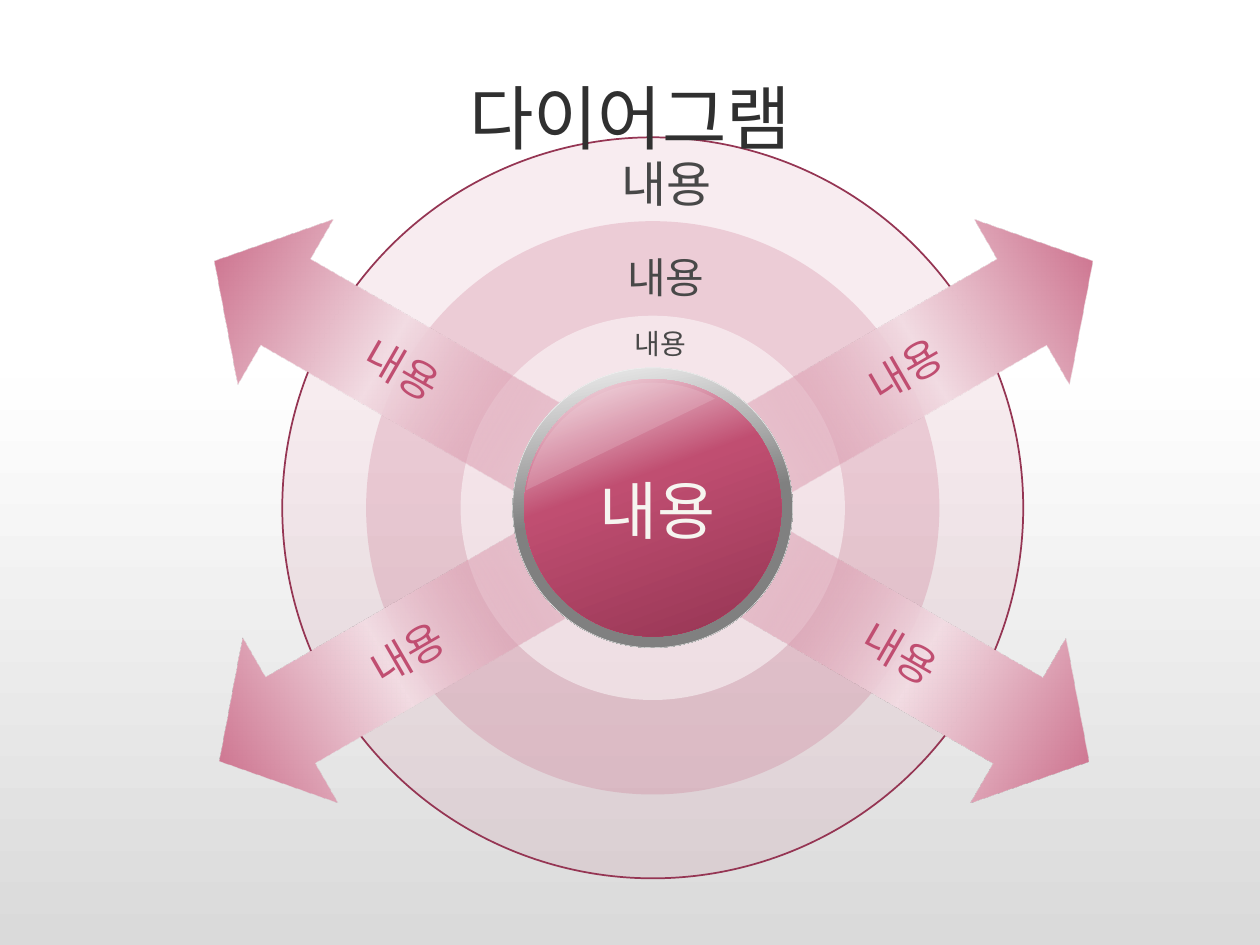
from lxml.etree import SubElement
from pptx import Presentation
from pptx.dml.color import RGBColor
from pptx.enum.shapes import MSO_SHAPE
from pptx.enum.text import MSO_ANCHOR, MSO_AUTO_SIZE, PP_ALIGN
from pptx.oxml.ns import qn
from pptx.util import Pt

ROSE, WINE, BLUSH = "C04E71", "953553", "F2DCE3"
CONTENT = "내용"


def color(value):
    return RGBColor.from_string(value)


def set_alpha(color_element, percent):
    SubElement(color_element, qn("a:alpha"), val=str(percent * 1000))


def set_solid(shape, value, alpha):
    shape.fill.solid()
    shape.fill.fore_color.rgb = color(value)
    set_alpha(shape.element.spPr.find(f".//{qn('a:srgbClr')}"), alpha)


def set_gradient(owner, fill, stops, angle):
    fill.gradient()
    gradient = owner.element.find(f".//{qn('a:gradFill')}")
    for child in list(gradient):
        gradient.remove(child)
    gradient.set("rotWithShape", "1")
    stop_list = SubElement(gradient, qn("a:gsLst"))
    for position, value, alpha in stops:
        stop = SubElement(stop_list, qn("a:gs"), pos=str(position * 1000))
        color_element = SubElement(stop, qn("a:srgbClr"), val=value)
        if alpha < 100:
            set_alpha(color_element, alpha)
    SubElement(gradient, qn("a:lin"), ang=str(angle * 60000), scaled="0")


def add_plain_shape(shapes, kind, box):
    shape = shapes.add_shape(kind, *map(Pt, box))
    shape.shadow.inherit = False
    shape.line.fill.background()
    return shape


def add_disc(shapes, box, diameter, kind=MSO_SHAPE.OVAL, drop=0):
    left, top, width, height = box
    disc_box = (left + (width - diameter) / 2, top + (height - diameter) / 2 + drop,
                diameter, diameter)
    return add_plain_shape(shapes, kind, disc_box)


def set_line(shape, value, width):
    shape.line.color.rgb = color(value)
    shape.line.width = Pt(width)


def write_text(shape, text, size, value, alignment, frame_format):
    frame = shape.text_frame
    for name, setting in frame_format.items():
        setattr(frame, name, setting)
    paragraph = frame.paragraphs[0]
    paragraph.alignment = alignment
    run = paragraph.add_run()
    run.text = text
    font_format = {"name": "Arial", "size": Pt(size)}
    for name, setting in font_format.items():
        setattr(run.font, name, setting)
    run.font.color.rgb = color(value)


def add_background(slide):
    stops = [(0, "FFFFFF", 100), (40, "FEFEFE", 100), (100, "DADADA", 100)]
    set_gradient(slide, slide.background.fill, stops, 90)


def add_rings(slide, box):
    shapes = slide.shapes.add_group_shape().shapes
    rings = [(box[2], ROSE, 10), (327.6, ROSE, 20), (219.6, "FFFFFF", 50)]
    discs = []
    for diameter, value, alpha in rings:
        disc = add_disc(shapes, box, diameter)
        set_solid(disc, value, alpha)
        discs.append(disc)
    set_line(discs[0], WINE, 1)


def add_title(slide, box):
    title = slide.shapes.add_textbox(*map(Pt, box))
    write_text(title, "다이어그램", 40, "303030", PP_ALIGN.CENTER,
               {"word_wrap": True, "vertical_anchor": MSO_ANCHOR.MIDDLE})


def add_arrows(slide, box):
    left, top, width, height = box
    arrow_width, arrow_height, inset = 223.2, 108.7, 2.5
    right = left + width - arrow_width
    bottom = top + height - arrow_height
    arrows = [
        (right - inset, bottom, 30.1, None),
        (right, top, 330, None),
        (left + inset, bottom, 150, "flipV"),
        (left, top, 30, "flipH"),
    ]
    stops = [(0, ROSE, 0), (50, BLUSH, 100), (100, ROSE, 100)]
    for arrow_left, arrow_top, rotation, flip in arrows:
        arrow = add_plain_shape(slide.shapes, MSO_SHAPE.RIGHT_ARROW,
                                (arrow_left, arrow_top, arrow_width, arrow_height))
        arrow.adjustments[0] = 0.52
        arrow.adjustments[1] = 0.43
        arrow.rotation = rotation
        if flip:
            arrow.element.spPr.find(qn("a:xfrm")).set(flip, "1")
        set_gradient(arrow, arrow.fill, stops, 0)
        write_text(arrow, CONTENT, 24, ROSE, PP_ALIGN.CENTER,
                   {"word_wrap": False, "vertical_anchor": MSO_ANCHOR.MIDDLE})


def add_ball(slide, box):
    shapes = slide.shapes.add_group_shape().shapes
    rim = add_disc(shapes, box, box[2])
    set_gradient(rim, rim.fill,
                 [(0, "F2F2F2", 100), (50, "808080", 100), (100, "808080", 100)], 80)
    set_line(rim, "F2F2F2", 0.25)
    face = add_disc(shapes, box, 147)
    set_gradient(face, face.fill,
                 [(0, "F9EDF1", 100), (40, ROSE, 100), (100, WINE, 100)], 70)
    gloss = add_disc(shapes, box, 147, MSO_SHAPE.CHORD, 2)
    gloss.adjustments[0] = 59.63
    gloss.adjustments[1] = 125.32
    gloss.rotation = 90
    set_solid(gloss, BLUSH, 20)


def add_labels(slide, box):
    left, top = box[:2]
    labels = [
        (174.2, 187.2, 84.2, 51.1, 36, "F6F5F0"),
        (194.4, 104.4, 45.4, 26.6, 16, "484848"),
        (190.1, 61.9, 61.2, 35.3, 24, "484848"),
        (186.5, 5.7, 69.1, 41, 28, "484848"),
    ]
    for across, down, width, height, size, value in labels:
        label = slide.shapes.add_textbox(Pt(left + across), Pt(top + down),
                                         Pt(width), Pt(height))
        write_text(label, CONTENT, size, value, PP_ALIGN.LEFT,
                   {"word_wrap": False, "auto_size": MSO_AUTO_SIZE.SHAPE_TO_FIT_TEXT})


def main():
    presentation = Presentation()
    presentation.slide_width = Pt(720)
    presentation.slide_height = Pt(540)
    slide = presentation.slides.add_slide(presentation.slide_layouts[6])
    rings_box = (161.3, 78.5, 423.4, 423.4)
    add_background(slide)
    add_rings(slide, rings_box)
    add_title(slide, (36, 21.6, 648, 90))
    add_arrows(slide, (108, 150.5, 531.4, 282.9))
    add_ball(slide, (293, 210.2, 160, 160))
    add_labels(slide, rings_box)
    presentation.save("out.pptx")


if __name__ == "__main__":
    main()
